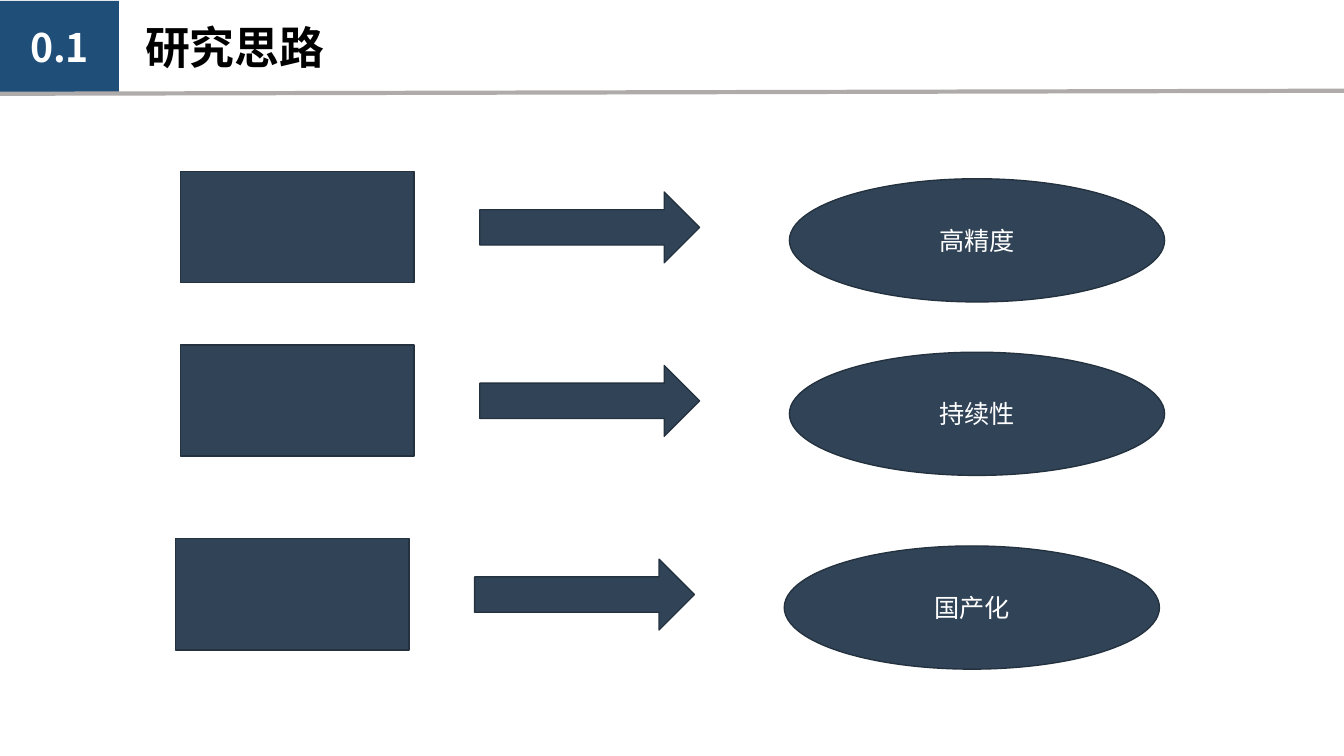
from lxml.etree import SubElement
from pptx import Presentation
from pptx.dml.color import RGBColor
from pptx.enum.shapes import MSO_CONNECTOR as Connector, MSO_SHAPE as Shape
from pptx.enum.text import MSO_ANCHOR as Anchor, MSO_AUTO_SIZE as AutoSize, PP_ALIGN as Align
from pptx.oxml.ns import qn
from pptx.util import Pt

WHITE = RGBColor(0xFF, 0xFF, 0xFF)
BLACK = RGBColor(0x00, 0x00, 0x00)
BLUE = RGBColor(0x1F, 0x4E, 0x79)
SLATE = RGBColor(0x31, 0x44, 0x57)
SLATE_EDGE = RGBColor(0x24, 0x32, 0x40)
GREY = RGBColor(0xAF, 0xAB, 0xAB)

ROWS = [
    (128.9, 122.4, "高精度"),
    (128.9, 246.3, "持续性"),
    (125.2, 384.7, "国产化"),
]


class SlideBuilder:
    """Draws styled elements on the current slide."""

    font_name = "Noto Sans CJK SC"

    def __init__(self, page):
        self.page = page

    def add_text(self, frame, text, size, color, bold=False, align=Align.CENTER):
        para = frame.paragraphs[0]
        para.alignment = align
        span = para.add_run()
        span.text = text
        values = {"name": self.font_name, "size": Pt(size), "bold": bold}
        for key, value in values.items():
            setattr(span.font, key, value)
        span.font.color.rgb = color
        SubElement(span.font._element, qn("a:ea"), typeface=self.font_name)

    def shape(self, kind, left, top, width, height, fill=SLATE, edge=SLATE_EDGE):
        box = self.page.shapes.add_shape(kind, Pt(left), Pt(top), Pt(width), Pt(height))
        box.shadow.inherit = False
        box.fill.solid()
        box.fill.fore_color.rgb = fill
        if edge is None:
            box.line.fill.background()
        else:
            box.line.color.rgb = edge
            box.line.width = Pt(1)
        box.text_frame.vertical_anchor = Anchor.MIDDLE
        return box

    def label(self, text, left, top, width, height, size):
        box = self.page.shapes.add_textbox(Pt(left), Pt(top), Pt(width), Pt(height))
        values = {"word_wrap": True, "auto_size": AutoSize.SHAPE_TO_FIT_TEXT}
        for key, value in values.items():
            setattr(box.text_frame, key, value)
        self.add_text(box.text_frame, text, size, BLACK, True, Align.LEFT)

    def line(self, x1, y1, x2, y2, color, width):
        rule = self.page.shapes.add_connector(
            Connector.STRAIGHT, Pt(x1), Pt(y1), Pt(x2), Pt(y2))
        rule.line.color.rgb = color
        rule.line.width = Pt(width)
        SubElement(rule._element.spPr, qn("a:effectLst"))


def main():
    deck = Presentation()
    deck.slide_width, deck.slide_height = Pt(960), Pt(540)
    builder = SlideBuilder(deck.slides.add_slide(deck.slide_layouts[6]))

    number = builder.shape(Shape.RECTANGLE, 0, 0.7, 85, 65.5, BLUE, None)
    builder.add_text(number.text_frame, "0.1", 28, WHITE, True)
    builder.line(-1.4, 67, 962, 64.8, GREY, 3)
    builder.label("研究思路", 96.5, 10.8, 525, 46, 32)

    for left, top, goal in ROWS:
        builder.shape(Shape.RECTANGLE, left, top, 167, 79.5)
        oval = builder.shape(Shape.OVAL, left + 435, top + 5.3, 268, 88)
        builder.add_text(oval.text_frame, goal, 18, WHITE)
        builder.shape(Shape.RIGHT_ARROW, left + 213.8, top + 14.8, 157, 50.5)

    deck.save("out.pptx")


if __name__ == "__main__":
    main()
